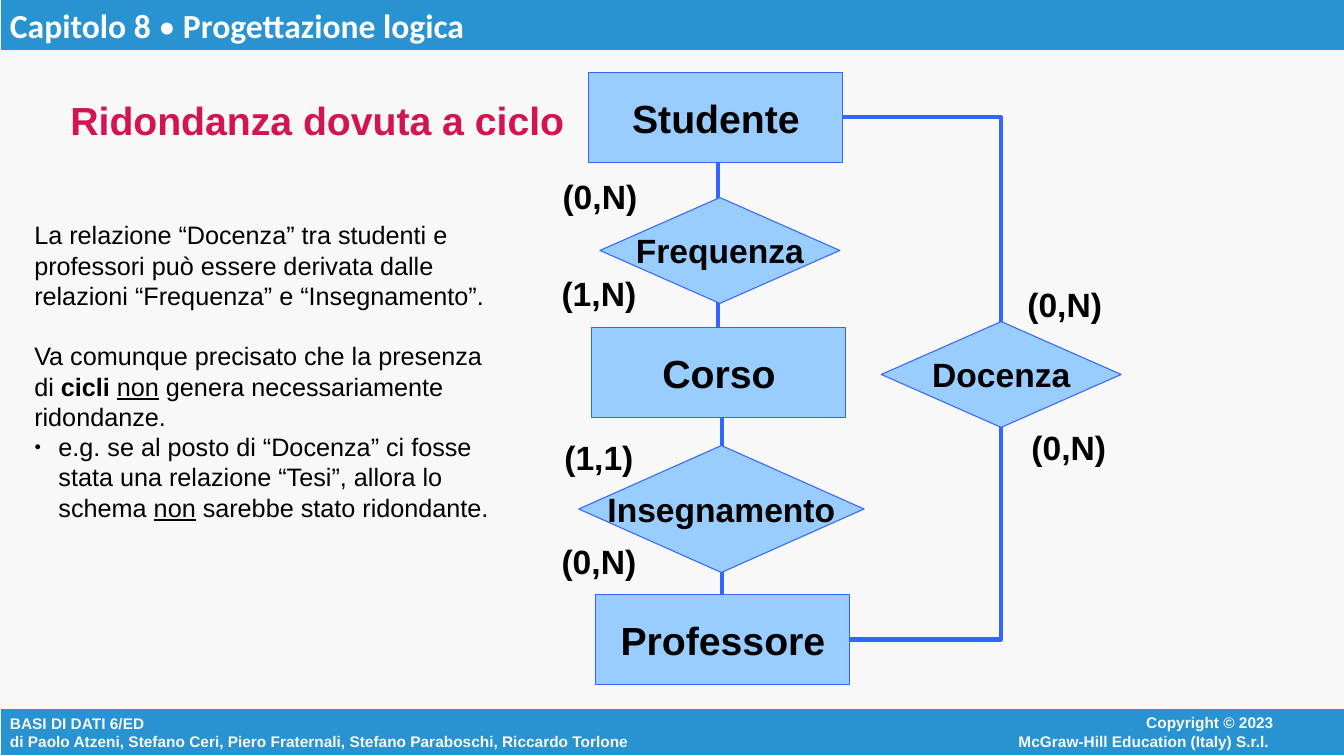
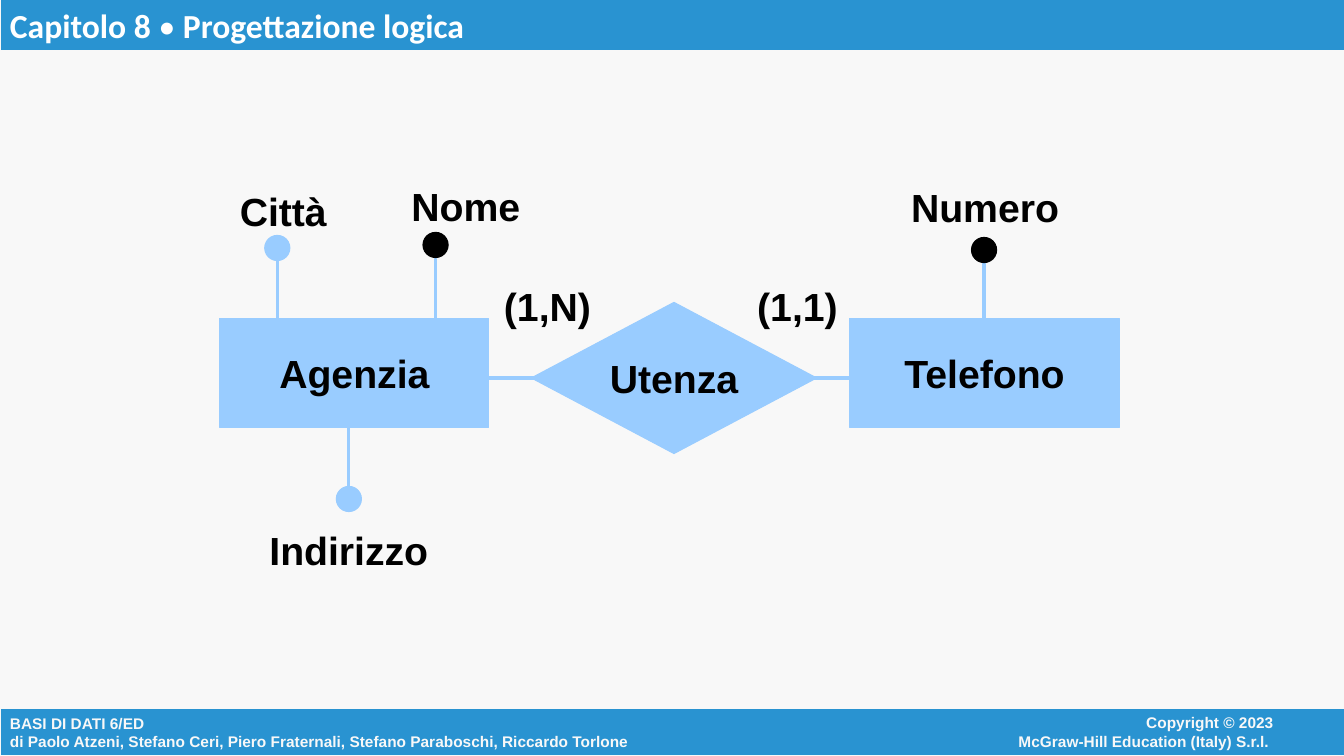
from dataclasses import dataclass

from lxml import etree
from pptx import Presentation
from pptx.dml.color import RGBColor
from pptx.enum import shapes, text
from pptx.oxml import ns
from pptx.util import Inches, Pt


@dataclass(frozen=True)
class Theme:
    paper: str = "F8F8F8"
    band: str = "2993D1"
    white: str = "FFFFFF"
    ink: str = "000000"
    accent: str = "D41450"
    node: str = "99CCFF"
    edge: str = "3366FF"
    font: str = "Arial"
    header_font: str = "Calibri"
    large: int = 28
    medium: int = 24
    body: int = 18
    small: int = 11
    outline: float = 0.75


THEME = Theme()
RECT, DIAMOND, OVAL = (shapes.MSO_SHAPE.RECTANGLE, shapes.MSO_SHAPE.DIAMOND,
                       shapes.MSO_SHAPE.OVAL)
LEFT, CENTER, RIGHT = text.PP_ALIGN.LEFT, text.PP_ALIGN.CENTER, text.PP_ALIGN.RIGHT
TOP, MIDDLE = text.MSO_ANCHOR.TOP, text.MSO_ANCHOR.MIDDLE
SITE_TOP, SITE_BOTTOM, SITE_RIGHT = 0, 2, 3

# A paragraph is a list of (words, style); style holds "b" for bold, "u" for underline.
CHAPTER = [[("Capitolo 8 ", "b"), ("•", ""), (" Progettazione logica", "b")]]
BOOK = [[("BASI DI DATI 6/ED", "b")],
        [("di Paolo Atzeni, Stefano Ceri, Piero Fraternali, Stefano Paraboschi, "
          "Riccardo Torlone", "b")]]
COPYRIGHT = [[("Copyright © 2023", "b")],
             [("McGraw-Hill Education (Italy) S.r.l. ", "b")]]

CYCLE_TITLE = [[("Ridondanza dovuta a ciclo", "b")]]
CYCLE_NOTES = [
    [("La relazione “Docenza” tra studenti e professori può essere derivata dalle "
      "relazioni “Frequenza” e “Insegnamento”.", "")],
    [("Va comunque precisato che la presenza di ", ""), ("cicli ", "b"), ("non", "u"),
     (" genera necessariamente ridondanze.", "")],
    [("e.g. se al posto di “Docenza” ci fosse stata una relazione “Tesi”, allora lo "
      "schema ", ""), ("non", "u"), (" sarebbe stato ridondante.", "")],
]
# name: left, top, width, height
ENTITY_SIZE = (2.52, 0.89)
CYCLE_ENTITIES = {"Studente": (5.84, 0.72, *ENTITY_SIZE),
                  "Corso": (5.87, 3.25, *ENTITY_SIZE),
                  "Professore": (5.91, 5.9, *ENTITY_SIZE)}
CYCLE_RELATIONS = {"Frequenza": (5.95, 1.96, 2.38, 1.05),
                   "Insegnamento": (5.74, 4.42, 2.83, 1.26),
                   "Docenza": (8.74, 3.19, 2.38, 1.05)}
CYCLE_LINKS = [(7.12, 1.5, 7.12, 3.5), (7.16, 4.15, 7.16, 6.15)]
CYCLE_BENDS = [("Studente", "Docenza", SITE_TOP), ("Professore", "Docenza", SITE_BOTTOM)]
# words, centre x, centre y
CYCLE_CARDINALITIES = [("(0,N)", 5.95, 1.95), ("(1,N)", 5.94, 2.91), ("(1,1)", 5.94, 4.53),
                       ("(0,N)", 5.94, 5.57), ("(0,N)", 10.56, 3.02), ("(0,N)", 10.6, 4.44)]

PHONE_ENTITIES = {"Agenzia": (2.18, 3.16, 2.67, 1.08), "Telefono": (8.43, 3.16, 2.67, 1.08)}
PHONE_RELATIONS = {"Utenza": (5.27, 3, 2.83, 1.5)}
PHONE_LINK = (4.52, 3.75, 8.6, 3.75)
PHONE_CARDINALITIES = [("(1,N)", 5.43, 3.03), ("(1,1)", 7.91, 3.03)]
# name, name centre, dot centre, owning entity, identifier or not
PHONE_ATTRIBUTES = [
    ("Città", (2.81, 2.09), (2.75, 2.46), "Agenzia", False),
    ("Nome", (4.62, 2.04), (4.32, 2.43), "Agenzia", True),
    ("Indirizzo", (3.46, 5.46), (3.46, 4.95), "Agenzia", False),
    ("Numero", (9.77, 2.05), (9.76, 2.48), "Telefono", True),
]
DOT = 0.25


def rgb(value):
    return RGBColor.from_string(value)


def write(frame, paragraphs, size, color=THEME.ink, font=THEME.font, align=LEFT,
          anchor=MIDDLE, wrap=True):
    frame.word_wrap = wrap
    frame.vertical_anchor = anchor
    for index, pieces in enumerate(paragraphs):
        paragraph = frame.paragraphs[0] if index == 0 else frame.add_paragraph()
        paragraph.alignment = align
        for words, style in pieces:
            run = paragraph.add_run()
            run.text = words
            run.font.name, run.font.size = font, Pt(size)
            run.font.color.rgb = rgb(color)
            run.font.bold, run.font.underline = "b" in style, "u" in style


def add_text(slide, box, paragraphs, size, **style):
    frame = slide.shapes.add_textbox(*map(Inches, box)).text_frame
    write(frame, paragraphs, size, **style)
    return frame


def add_shape(slide, kind, box, fill, line):
    shape = slide.shapes.add_shape(kind, *map(Inches, box))
    shape.shadow.inherit = False
    shape.fill.solid()
    shape.fill.fore_color.rgb = rgb(fill)
    shape.line.color.rgb = rgb(line)
    shape.line.width = Pt(THEME.outline)
    return shape


def add_nodes(slide, kind, nodes, size, line):
    """Draw the named nodes and return their shapes by name."""
    drawn = {}
    for name, box in nodes.items():
        drawn[name] = add_shape(slide, kind, box, THEME.node, line)
        write(drawn[name].text_frame, [[(name, "b")]], size, align=CENTER, wrap=False)
    return drawn


def add_label(slide, words, x, y, size):
    """Place one bold word around its centre, in a box as wide as the word needs."""
    width, height = 0.5 + 0.2 * len(words), 0.5
    add_text(slide, (x - width / 2, y - height / 2, width, height), [[(words, "b")]], size,
             align=CENTER, wrap=False)


def add_line(slide, ends, color, width, kind=shapes.MSO_CONNECTOR.STRAIGHT):
    line = slide.shapes.add_connector(kind, *map(Inches, ends))
    line.line.color.rgb = rgb(color)
    line.line.width = Pt(width)
    etree.SubElement(line._element.spPr, ns.qn("a:effectLst"))
    return line


def add_bend(slide, start, end, site):
    """Link the right side of one node to a site of another with a single corner."""
    bend = add_line(slide, (0, 0, 1, 1), THEME.edge, 3, shapes.MSO_CONNECTOR.ELBOW)
    bend.begin_connect(start, SITE_RIGHT)
    bend.end_connect(end, site)
    bend._element.spPr.find(ns.qn("a:prstGeom")).set("prst", "bentConnector2")


def add_bullet(paragraph, indent):
    properties = paragraph._p.get_or_add_pPr()
    properties.set("marL", str(Inches(indent)))
    properties.set("indent", str(-Inches(indent)))
    for tag, key, value in (("a:buSzPct", "val", "45000"),
                            ("a:buFont", "typeface", THEME.font),
                            ("a:buChar", "char", "●")):
        etree.SubElement(properties, ns.qn(tag)).set(key, value)


def new_slide(prs):
    """Add a slide with the chapter band and the footer band."""
    slide = prs.slides.add_slide(prs.slide_layouts[6])
    footer = add_shape(slide, RECT, (0, 7.03, 13.35, 0.47), THEME.band, THEME.paper)
    write(footer.text_frame, BOOK, THEME.small, THEME.paper)
    add_text(slide, (8.89, 7.03, 3.84, 0.46), COPYRIGHT, THEME.small, color=THEME.paper,
             align=RIGHT, anchor=TOP)
    header = add_shape(slide, RECT, (0, 0, 13.35, 0.5), THEME.band, THEME.paper)
    write(header.text_frame, CHAPTER, THEME.medium, THEME.white, THEME.header_font, anchor=TOP)
    return slide


def build_cycle(prs):
    slide = new_slide(prs)
    for ends in CYCLE_LINKS:
        add_line(slide, ends, THEME.edge, 3)
    nodes = add_nodes(slide, RECT, CYCLE_ENTITIES, THEME.large, THEME.edge)
    nodes.update(add_nodes(slide, DIAMOND, CYCLE_RELATIONS, THEME.medium, THEME.edge))
    for start, end, site in CYCLE_BENDS:
        add_bend(slide, nodes[start], nodes[end], site)
    for words, x, y in CYCLE_CARDINALITIES:
        add_label(slide, words, x, y, THEME.medium)
    add_text(slide, (0.6, 0.99, 5.24, 0.39), CYCLE_TITLE, THEME.large, color=THEME.accent)
    notes = add_text(slide, (0.34, 2.18, 4.7, 4.24), CYCLE_NOTES, THEME.body, anchor=TOP)
    notes.margin_left = notes.margin_right = notes.margin_top = notes.margin_bottom = 0
    notes.paragraphs[1].space_before = Pt(21.6)
    add_bullet(notes.paragraphs[2], 0.24)


def build_phone(prs):
    slide = new_slide(prs)
    add_line(slide, PHONE_LINK, THEME.node, 2.25)
    for name, center, (x, y), owner, identifier in PHONE_ATTRIBUTES:
        _, top, _, height = PHONE_ENTITIES[owner]
        side = top if y < top else top + height
        add_line(slide, (x, y, x, side), THEME.node, 2.25)
        color = THEME.ink if identifier else THEME.node
        add_shape(slide, OVAL, (x - DOT / 2, y - DOT / 2, DOT, DOT), color, color)
        add_label(slide, name, *center, THEME.large)
    add_nodes(slide, DIAMOND, PHONE_RELATIONS, THEME.large, THEME.node)
    add_nodes(slide, RECT, PHONE_ENTITIES, THEME.large, THEME.node)
    for words, x, y in PHONE_CARDINALITIES:
        add_label(slide, words, x, y, THEME.large)


def main():
    prs = Presentation()
    prs.slide_width, prs.slide_height = Inches(13.33), Inches(7.5)
    backdrop = prs.slide_master.background.fill
    backdrop.solid()
    backdrop.fore_color.rgb = rgb(THEME.paper)
    build_cycle(prs)
    build_phone(prs)
    prs.save("out.pptx")


if __name__ == "__main__":
    main()
